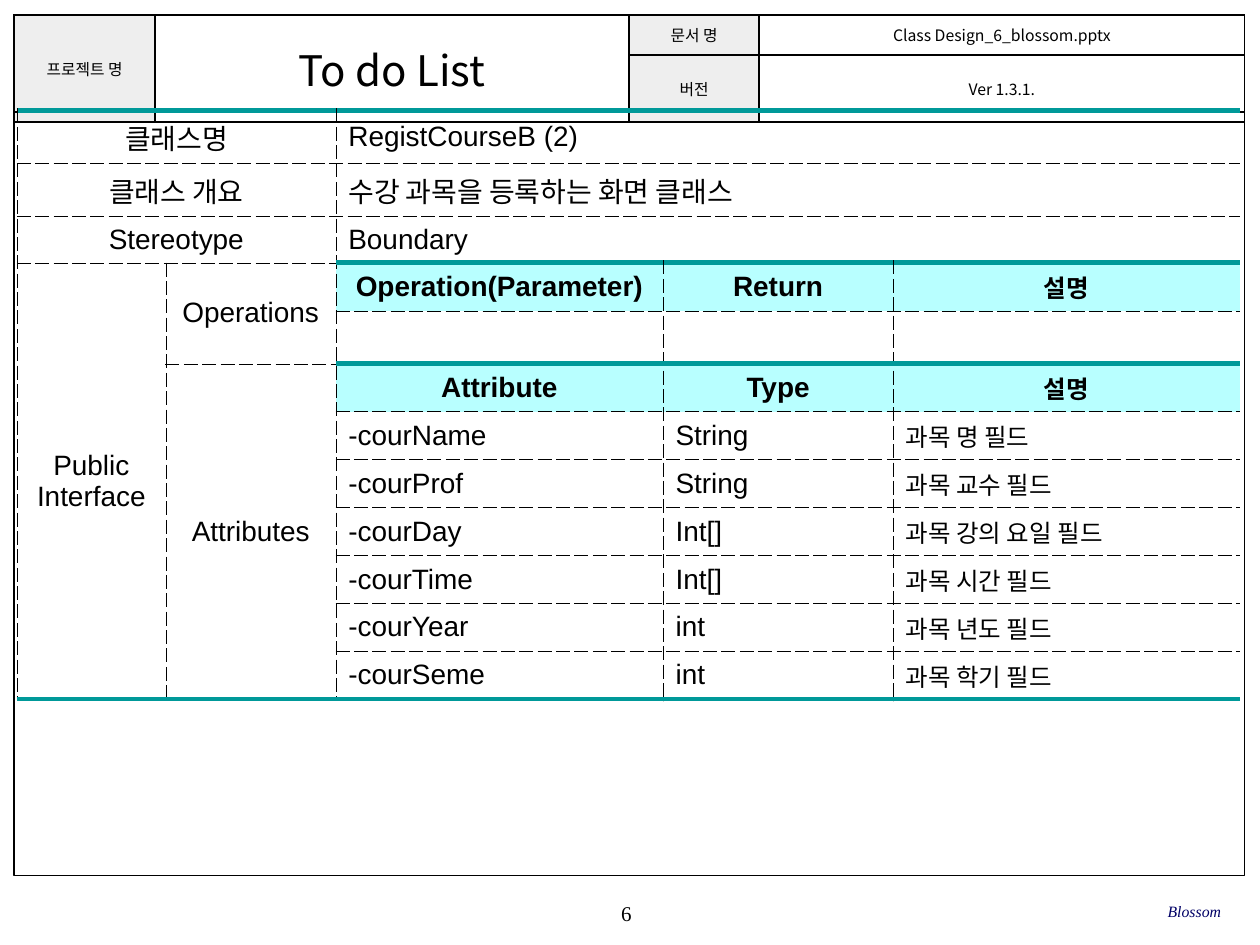
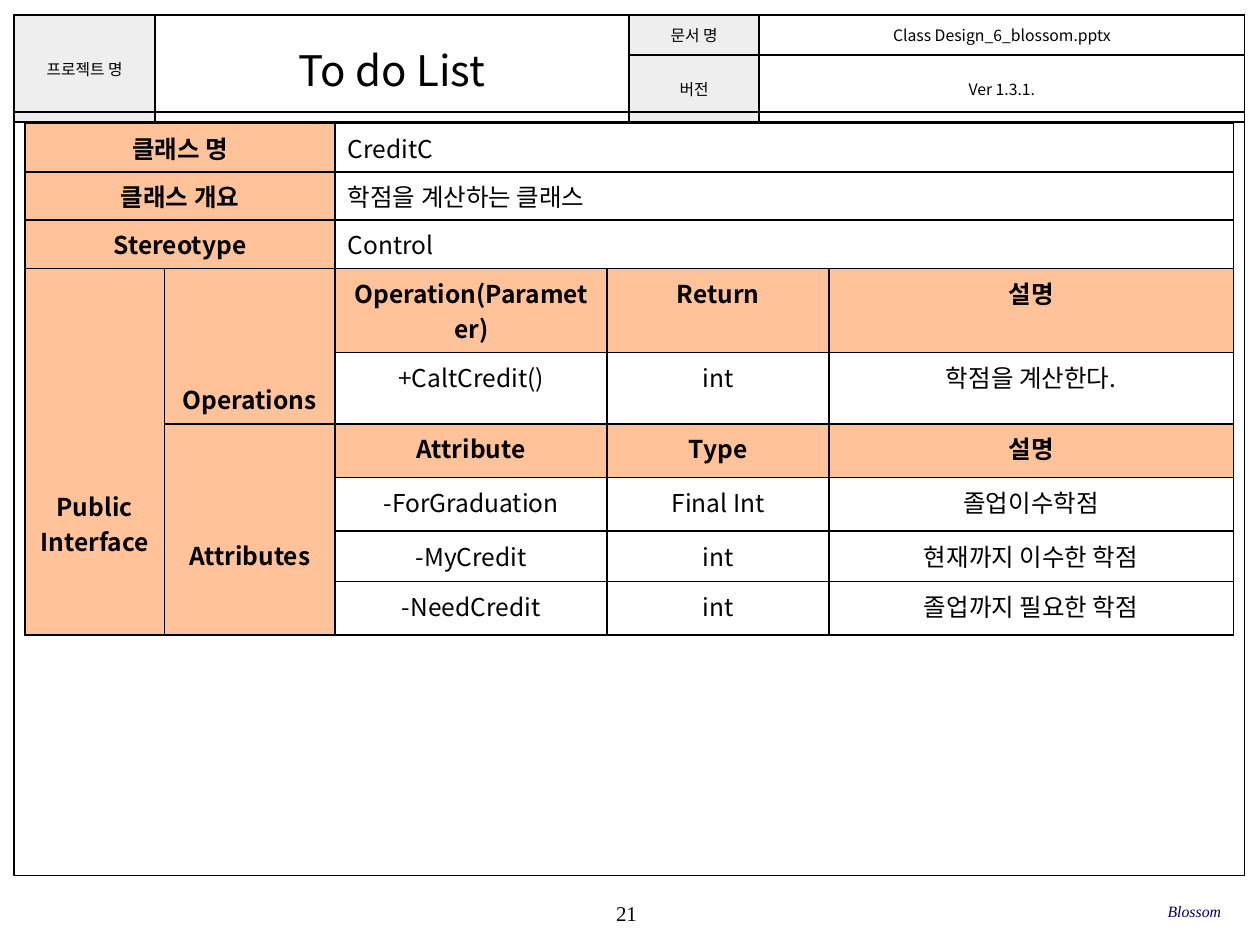
import lxml.etree
import pptx
import pptx.dml.color
import pptx.enum.shapes
import pptx.enum.text
import pptx.oxml.ns
import pptx.util

Pt = pptx.util.Pt
qn = pptx.oxml.ns.qn
ALIGN = pptx.enum.text.PP_ALIGN
ANCHOR = pptx.enum.text.MSO_ANCHOR

COLORS = {"ink": "000000", "navy": "000066", "label": "EEEEEE", "teal": "009999",
          "aqua": "B8FFFF", "peach": "FFC299", "white": "FFFFFF"}
KOREAN = "Noto Sans CJK KR"
SERIF = "Times New Roman"
LINE_14 = 20.27  # height in points of one 14 pt line of KOREAN

SOLID = ("ink", 1, "solid")
DASHED = ("ink", 0.25, "lgDash")
THICK = ("teal", 3, "solid")

HEADER = [["프로젝트 명", "To do List", "문서 명", "Class Design_6_blossom.pptx"],
          ["", "", "버전", "Ver 1.3.1."]]
HEADER_MERGES = [(0, 0, 1, 0), (0, 1, 1, 1)]

REGIST_COURSE = [
    ["클래스명", "", "RegistCourseB (2)", "", ""],
    ["클래스 개요", "", "수강 과목을 등록하는 화면 클래스", "", ""],
    ["Stereotype", "", "Boundary", "", ""],
    ["Public\nInterface", "Operations", "Operation(Parameter)", "Return", "설명"],
    ["", "", "", "", ""],
    ["", "Attributes", "Attribute", "Type", "설명"],
    ["", "", "-courName", "String", "과목 명 필드"],
    ["", "", "-courProf", "String", "과목 교수 필드"],
    ["", "", "-courDay", "Int[]", "과목 강의 요일 필드"],
    ["", "", "-courTime", "Int[]", "과목 시간 필드"],
    ["", "", "-courYear", "int", "과목 년도 필드"],
    ["", "", "-courSeme", "int", "과목 학기 필드"],
]
CREDIT = [
    ["클래스 명", "", "CreditC", "", ""],
    ["클래스 개요", "", "학점을 계산하는 클래스", "", ""],
    ["Stereotype", "", "Control", "", ""],
    ["Public\nInterface", "Operations", "Operation(Parameter)", "Return", "설명"],
    ["", "", "+CaltCredit()", "int", "학점을 계산한다."],
    ["", "Attributes", "Attribute", "Type", "설명"],
    ["", "", "-ForGraduation", "Final Int", "졸업이수학점"],
    ["", "", "-MyCredit", "int", "현재까지 이수한 학점"],
    ["", "", "-NeedCredit", "int", "졸업까지 필요한 학점"],
]
HEADING_ROWS = (3, 5)


def rgb(name):
    return pptx.dml.color.RGBColor.from_string(COLORS[name])


def write_text(frame, text, *, size, font=KOREAN, color="ink", bold=False,
               italic=False, align=ALIGN.CENTER):
    """Put each line of text in its own paragraph."""
    for number, line in enumerate(text.split("\n")):
        para = frame.add_paragraph() if number else frame.paragraphs[0]
        para.alignment = align
        if not line:
            lxml.etree.SubElement(para._p, qn("a:endParaRPr"), sz=str(size * 100))
            continue
        span = para.add_run()
        span.text = line
        span.font.size = Pt(size)
        span.font.bold = bold
        span.font.italic = italic
        span.font.color.rgb = rgb(color)
        span.font.name = font
        lxml.etree.SubElement(span._r.rPr, qn("a:ea"), typeface=KOREAN)


def set_borders(cell, borders):
    """Draw (color, width, dash) per side L, R, T, B; None leaves a side bare."""
    properties = cell._tc.get_or_add_tcPr()
    for index, side in enumerate("LRTB"):
        line = lxml.etree.Element(qn("a:ln" + side))
        properties.insert(index, line)
        if borders[side] is None:
            lxml.etree.SubElement(line, qn("a:noFill"))
            continue
        color, width, dash = borders[side]
        line.set("w", str(int(Pt(width))))
        fill = lxml.etree.SubElement(line, qn("a:solidFill"))
        lxml.etree.SubElement(fill, qn("a:srgbClr"), val=COLORS[color])
        lxml.etree.SubElement(line, qn("a:prstDash"), val=dash)


def class_merges(row_count):
    """Merged ranges (top, left, bottom, right) of a class table."""
    merges = [(3, 0, row_count - 1, 0), (3, 1, 4, 1), (5, 1, row_count - 1, 1)]
    for row in range(3):
        merges += [(row, 0, row, 1), (row, 2, row, 4)]
    return merges


class ClassDesign:
    def __init__(self):
        self.deck = pptx.Presentation()
        self.deck.slide_width, self.deck.slide_height = Pt(720), Pt(540)
        self.page = None

    def add_page(self, number):
        self.page = self.deck.slides.add_slide(self.deck.slide_layouts[6])
        self.text(number, 283, 509.8, 150, 23.8, size=12, font=SERIF)
        self.table(HEADER, 8, 8.5, [80.6, 270.8, 74.4, 277.4], [23, 38.2],
                   HEADER_MERGES, self.header_format, margins=(2.9, 1.4))
        self.frame(8, 64, 703.4, 436.5)
        self.text("Blossom", 477.4, 509, 220.3, 23.8, size=9, font=SERIF,
                  color="navy", italic=True, align=ALIGN.RIGHT)

    def text(self, text, left, top, width, height, **style):
        box = self.page.shapes.add_textbox(Pt(left), Pt(top), Pt(width), Pt(height))
        frame = box.text_frame
        frame.word_wrap = True
        frame.vertical_anchor = ANCHOR.MIDDLE
        frame.margin_left = frame.margin_right = 0
        frame.margin_top = frame.margin_bottom = 0
        write_text(frame, text, **style)

    def frame(self, left, top, width, height):
        box = self.page.shapes.add_shape(pptx.enum.shapes.MSO_SHAPE.RECTANGLE,
                                         Pt(left), Pt(top), Pt(width), Pt(height))
        box.shadow.inherit = False
        box.fill.background()
        box.line.color.rgb = rgb("ink")
        box.line.width = Pt(0.75)

    def table(self, rows, left, top, widths, heights, merges, cell_format,
              margins=(7.2, 3.6)):
        """cell_format(row, column, bottom, right) gives text style and cell look."""
        table = self.page.shapes.add_table(
            len(rows), len(widths), Pt(left), Pt(top),
            Pt(sum(widths)), Pt(sum(heights))).table
        table.first_row = table.horz_banding = False
        for column, width in zip(table.columns, widths):
            column.width = Pt(width)
        for row, height in zip(table.rows, heights):
            row.height = Pt(height)
        for first_row, first_column, last_row, last_column in merges:
            table.cell(first_row, first_column).merge(
                table.cell(last_row, last_column))
        for row, texts in enumerate(rows):
            for column, text in enumerate(texts):
                cell = table.cell(row, column)
                cell.margin_left = cell.margin_right = Pt(margins[0])
                cell.margin_top = cell.margin_bottom = Pt(margins[1])
                if cell.is_spanned:
                    write_text(cell.text_frame, "", size=9)
                    continue
                bottom, right = row, column
                if cell.is_merge_origin:
                    bottom += cell.span_height - 1
                    right += cell.span_width - 1
                style, look = cell_format(row, column, bottom, right)
                write_text(cell.text_frame, text, **style)
                cell.vertical_anchor = look.get("anchor", ANCHOR.MIDDLE)
                if "margin_top" in look:
                    cell.margin_top = Pt(look["margin_top"])
                if look["fill"]:
                    cell.fill.solid()
                    cell.fill.fore_color.rgb = rgb(look["fill"])
                else:
                    cell.fill.background()
                set_borders(cell, look["borders"])

    @staticmethod
    def header_format(row, column, bottom, right):
        style = {"size": 24 if column == 1 else 9}
        return style, {"fill": "label" if column in (0, 2) else None,
                       "borders": dict.fromkeys("LRTB", SOLID)}

    @staticmethod
    def teal_format(row, column, bottom, right):
        heading = column >= 2 and row in HEADING_ROWS
        centered = column < 2 or heading
        style = {"size": 14 if column == 4 else 16, "font": "Arial", "bold": heading,
                 "align": ALIGN.CENTER if centered else ALIGN.LEFT}
        thick_top = row == 0 or heading
        thick_bottom = (bottom == len(REGIST_COURSE) - 1
                        or column >= 2 and bottom + 1 in HEADING_ROWS)
        borders = {"L": DASHED, "R": None if right == 4 else DASHED,
                   "T": THICK if thick_top else DASHED,
                   "B": THICK if thick_bottom else DASHED}
        return style, {"fill": "aqua" if heading else None, "borders": borders}

    @staticmethod
    def peach_format(row, column, bottom, right):
        heading = column < 2 or row in HEADING_ROWS
        value = column == 2 and row < 3
        style = {"size": 14, "bold": heading,
                 "align": ALIGN.LEFT if value else ALIGN.CENTER}
        lines_above = {(3, 0): 6, (3, 1): 3, (5, 1): 3}.get((row, column), 0)
        return style, {"fill": "peach" if heading else "white",
                       "anchor": ANCHOR.TOP,
                       "margin_top": round(3.6 + lines_above * LINE_14, 2),
                       "borders": dict.fromkeys("LRTB", SOLID)}


def main():
    design = ClassDesign()

    design.add_page("6")
    design.table(REGIST_COURSE, 9.7, 63.2, [85, 97.2, 187, 131.5, 198.2],
                 [30.3, 30.3, 24.9, 27.4, 30.3] + [27.4] * 7,
                 class_merges(len(REGIST_COURSE)), design.teal_format)

    design.add_page("21")
    design.table(CREDIT, 14.3, 70.6, [79.6, 97.7, 155.4, 126.8, 231],
                 [27.6, 27.6, 27.6, 48, 41, 30.4, 30.8, 28.8, 30.5],
                 class_merges(len(CREDIT)), design.peach_format)

    design.deck.save("out.pptx")


if __name__ == "__main__":
    main()
